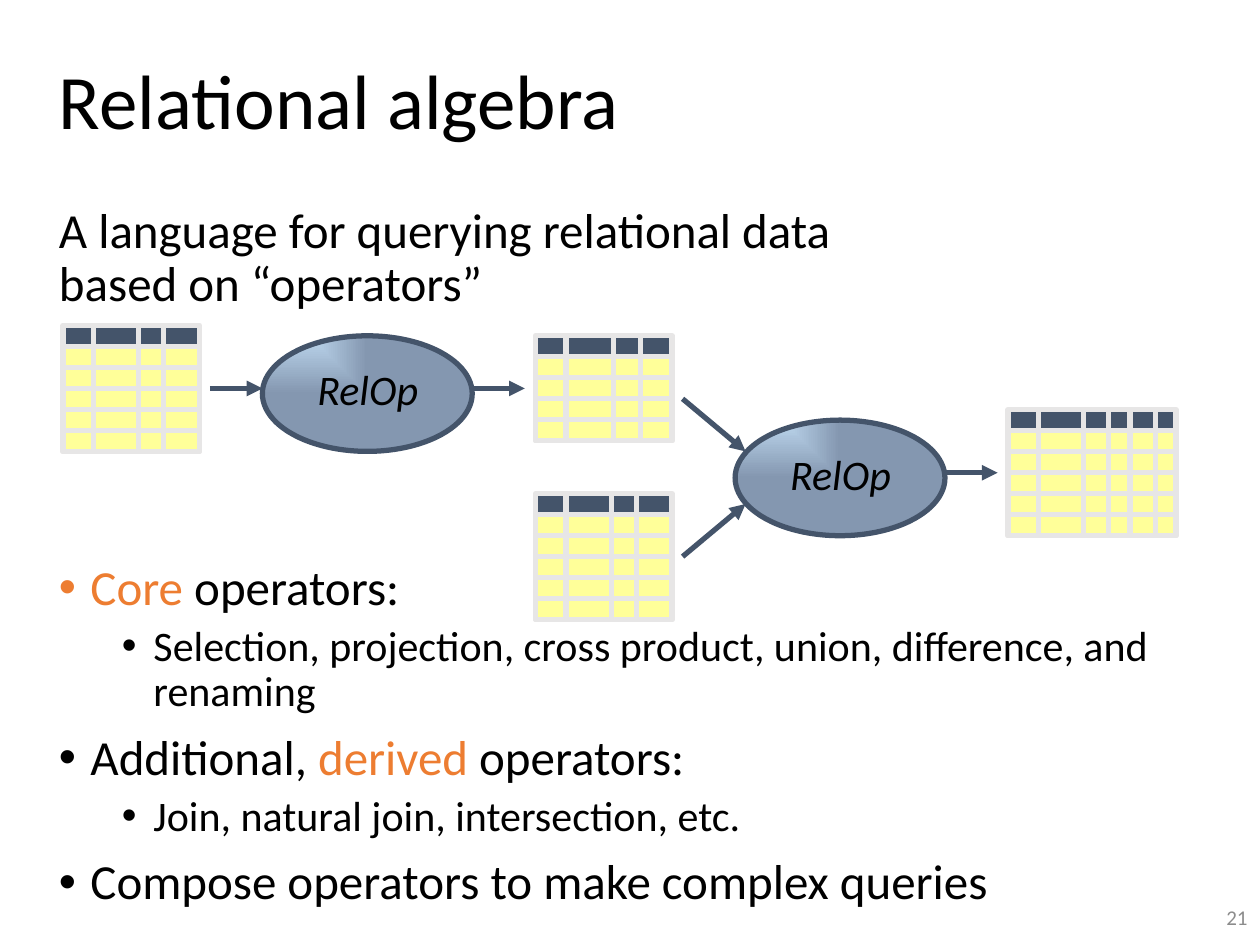
from dataclasses import dataclass

from lxml import etree
from pptx import Presentation
from pptx.dml.color import RGBColor
from pptx.enum.shapes import MSO_CONNECTOR, MSO_SHAPE
from pptx.enum.text import MSO_ANCHOR, PP_ALIGN
from pptx.oxml.ns import qn
from pptx.util import Cm, Pt

LINE = MSO_CONNECTOR.STRAIGHT
RECT, OVAL = MSO_SHAPE.RECTANGLE, MSO_SHAPE.OVAL
TOP, MIDDLE = MSO_ANCHOR.TOP, MSO_ANCHOR.MIDDLE
LEFT, RIGHT = PP_ALIGN.LEFT, PP_ALIGN.RIGHT

FONT = "Calibri"
STROKE = 3
ROW = 2.54 / 6
COLORS = {
    "text": "000000", "accent": "ED7D31", "number": "8C8C8C",
    "dark": "44546A", "grid": "E7E6E6", "cell": "FFFF99",
    "light": "BDD7EE", "steel": "8497B0",
}


@dataclass
class Run:
    text: str
    color: str = "text"
    italic: bool = False


@dataclass
class Para:
    runs: list[Run]
    size: float
    level: int = 0
    bullet: bool = False
    before: float = 0
    spacing: float = 1.0
    align: int = LEFT


@dataclass
class Grid:
    left: float
    top: float
    width: float
    rows: int
    cols: tuple[float, ...]


@dataclass
class Arrow:
    x1: float
    y1: float
    x2: float
    y2: float


def item(level: int, *runs: Run) -> Para:
    return Para(list(runs), 24 if level else 28, level, True,
                5 if level else 10, 0.9)


# Content, in centimetres
ITEMS = [
    item(0, Run("Core", "accent"), Run(" operators:")),
    item(1, Run("Selection, projection, cross product, union, difference, "
                "and renaming")),
    item(0, Run("Additional, "), Run("derived", "accent"),
         Run(" operators:")),
    item(1, Run("Join, natural join, intersection, etc.")),
    item(0, Run("Compose operators to make complex queries")),
]
COLS = (0.61, 1.52, 2.03)
GRIDS = [
    Grid(1.27, 6.56, 2.75, 6, COLS),
    Grid(10.8, 6.77, 2.75, 5, (0.61, 1.57, 2.11)),
    Grid(10.8, 9.95, 2.75, 6, COLS),
    Grid(20.32, 8.26, 3.39, 6, COLS + (2.46, 2.97)),
]
NODES = [(5.29, 6.77), (14.82, 8.47)]
ARROWS = [
    Arrow(4.23, 7.83, 5.29, 7.83),
    Arrow(9.53, 7.83, 10.58, 7.83),
    Arrow(13.76, 8.04, 15.03, 9.1),
    Arrow(13.76, 11.22, 15.03, 10.16),
    Arrow(19.05, 9.53, 20.11, 9.53),
]


def rgb(name: str) -> RGBColor:
    return RGBColor.from_string(COLORS[name])


def add_text(slide, box: tuple[float, ...], paras: list[Para],
             anchor=TOP, wrap: bool = True) -> None:
    frame = slide.shapes.add_textbox(*map(Cm, box)).text_frame
    frame.word_wrap = wrap
    frame.vertical_anchor = anchor
    for i, spec in enumerate(paras):
        para = frame.add_paragraph() if i else frame.paragraphs[0]
        para.level = spec.level
        para.alignment = spec.align
        para.space_before = Pt(spec.before)
        para.line_spacing = spec.spacing
        if spec.bullet:
            props = para._p.get_or_add_pPr()
            props.set("marL", str(Cm(0.635 + 1.27 * spec.level)))
            props.set("indent", str(-Cm(0.635)))
            etree.SubElement(props, qn("a:buFont")).set("typeface", "Arial")
            etree.SubElement(props, qn("a:buChar")).set("char", "•")
        for part in spec.runs:
            for j, text in enumerate(part.text.split("\n")):
                if j:
                    para.add_line_break()
                run = para.add_run()
                run.text = text
                run.font.name = FONT
                run.font.size = Pt(spec.size)
                run.font.italic = part.italic
                run.font.color.rgb = rgb(part.color)


def add_shape(slide, kind, box: tuple[float, ...], line: str):
    shape = slide.shapes.add_shape(kind, *map(Cm, box))
    shape.shadow.inherit = False
    shape.line.color.rgb = rgb(line)
    shape.line.width = Pt(STROKE)
    return shape


def add_line(slide, ends: tuple[float, ...], color: str):
    line = slide.shapes.add_connector(LINE, *map(Cm, ends))
    line.line.color.rgb = rgb(color)
    line.line.width = Pt(STROKE)
    etree.SubElement(line._element.spPr, qn("a:effectLst"))
    return line


def add_node(slide, left: float, top: float) -> None:
    oval = add_shape(slide, OVAL, (left, top, 4.23, 2.33), "dark")
    oval.fill.gradient()
    for stop, name in zip(oval.fill.gradient_stops, ("light", "steel")):
        stop.color.rgb = rgb(name)
    # Shade outwards from the top left corner
    grad = oval._element.spPr.find(qn("a:gradFill"))
    path = etree.Element(qn("a:path"), {"path": "rect"})
    etree.SubElement(path, qn("a:fillToRect"), {"r": "100000", "b": "100000"})
    grad.replace(grad.find(qn("a:lin")), path)
    add_text(slide, (left + 0.86, top + 0.44, 2.59, 1.3),
             [Para([Run("RelOp", italic=True)], 24)], wrap=False)


def add_grid(slide, grid: Grid) -> None:
    high = grid.rows * ROW
    right, base = grid.left + grid.width, grid.top + high
    for skip, name in ((0, "dark"), (ROW, "cell")):
        box = (grid.left, grid.top + skip, grid.width, high - skip)
        rect = add_shape(slide, RECT, box, "grid")
        rect.fill.solid()
        rect.fill.fore_color.rgb = rgb(name)
    for col in grid.cols:
        x = grid.left + col
        add_line(slide, (x, grid.top, x, base), "grid")
    for row in range(2, grid.rows):
        y = grid.top + row * ROW
        add_line(slide, (grid.left, y, right, y), "grid")


def add_arrow(slide, arrow: Arrow) -> None:
    line = add_line(slide, (arrow.x1, arrow.y1, arrow.x2, arrow.y2), "dark")
    etree.SubElement(line.line._get_or_add_ln(), qn("a:tailEnd"),
                     {"type": "triangle"})


def main() -> None:
    deck = Presentation()
    deck.slide_width, deck.slide_height = Cm(25.4), Cm(19.05)
    slide = deck.slides.add_slide(deck.slide_layouts[6])

    # Title, introduction and page number
    add_text(slide, (0.94, 0.46, 24.46, 3.28),
             [Para([Run("Relational algebra")], 44, spacing=0.9)], MIDDLE)
    intro = "A language for querying relational data \nbased on “operators”"
    add_text(slide, (0.94, 4.04, 22.71, 3.15),
             [Para([Run(intro)], 28, before=10, spacing=0.9)])
    add_text(slide, (19.69, 17.98, 5.71, 1.02),
             [Para([Run("21", "number")], 12, align=RIGHT)], MIDDLE)

    # Operator diagram
    for node in NODES:
        add_node(slide, *node)
    for grid in GRIDS:
        add_grid(slide, grid)
    for arrow in ARROWS:
        add_arrow(slide, arrow)

    # Operator list
    add_text(slide, (0.94, 11.23, 22.71, 7.44), ITEMS)
    deck.save("out.pptx")


if __name__ == "__main__":
    main()
